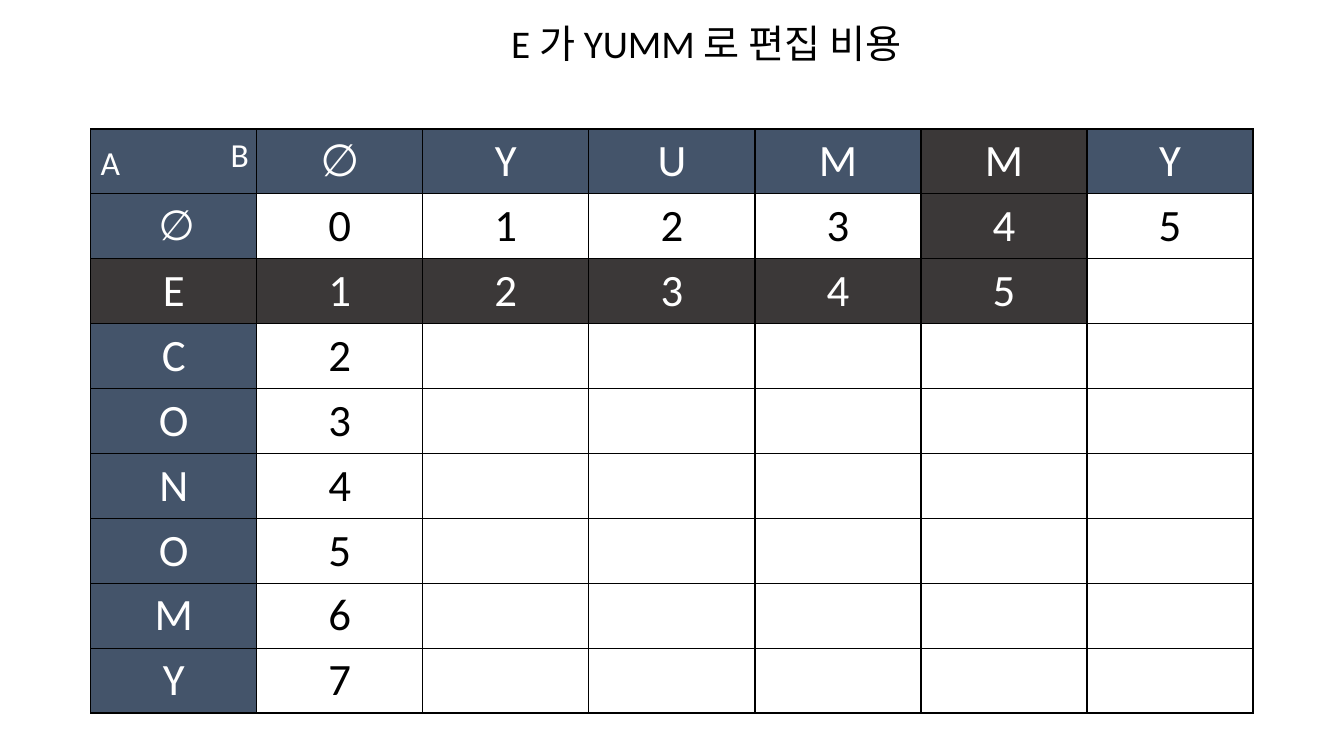
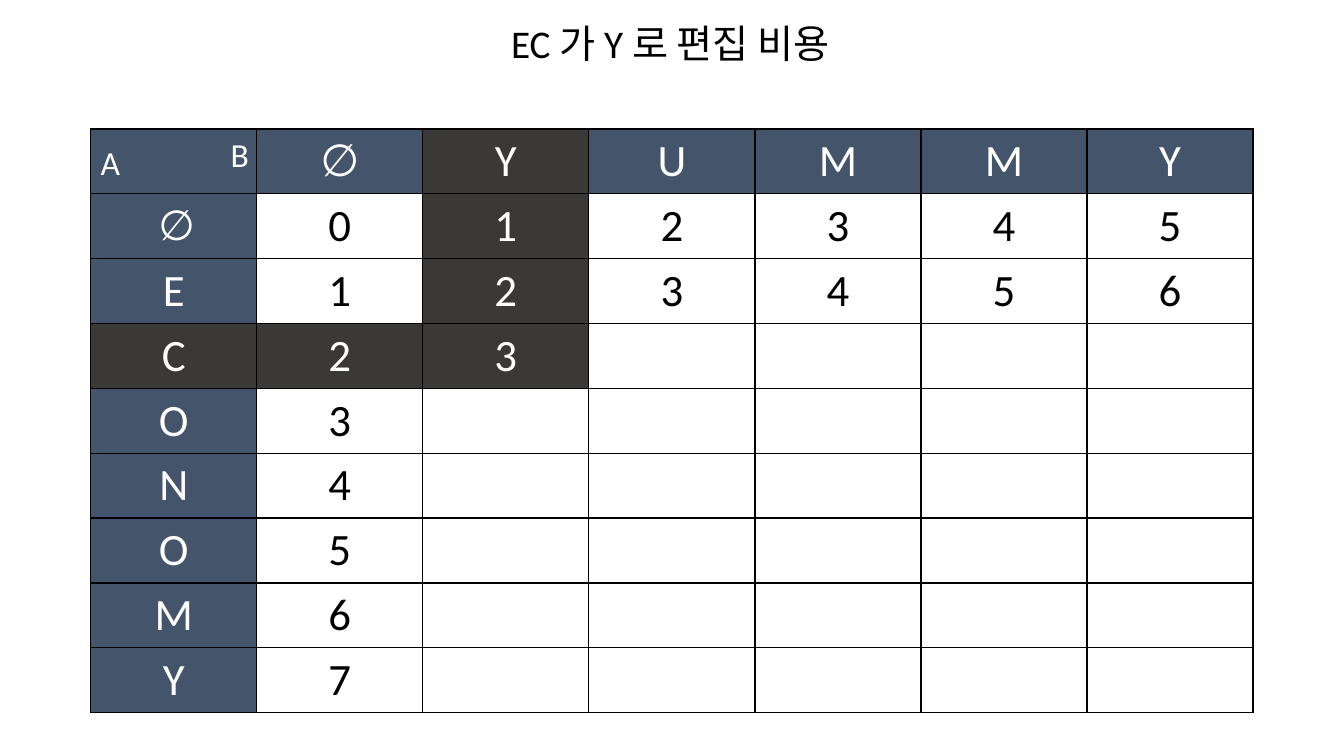
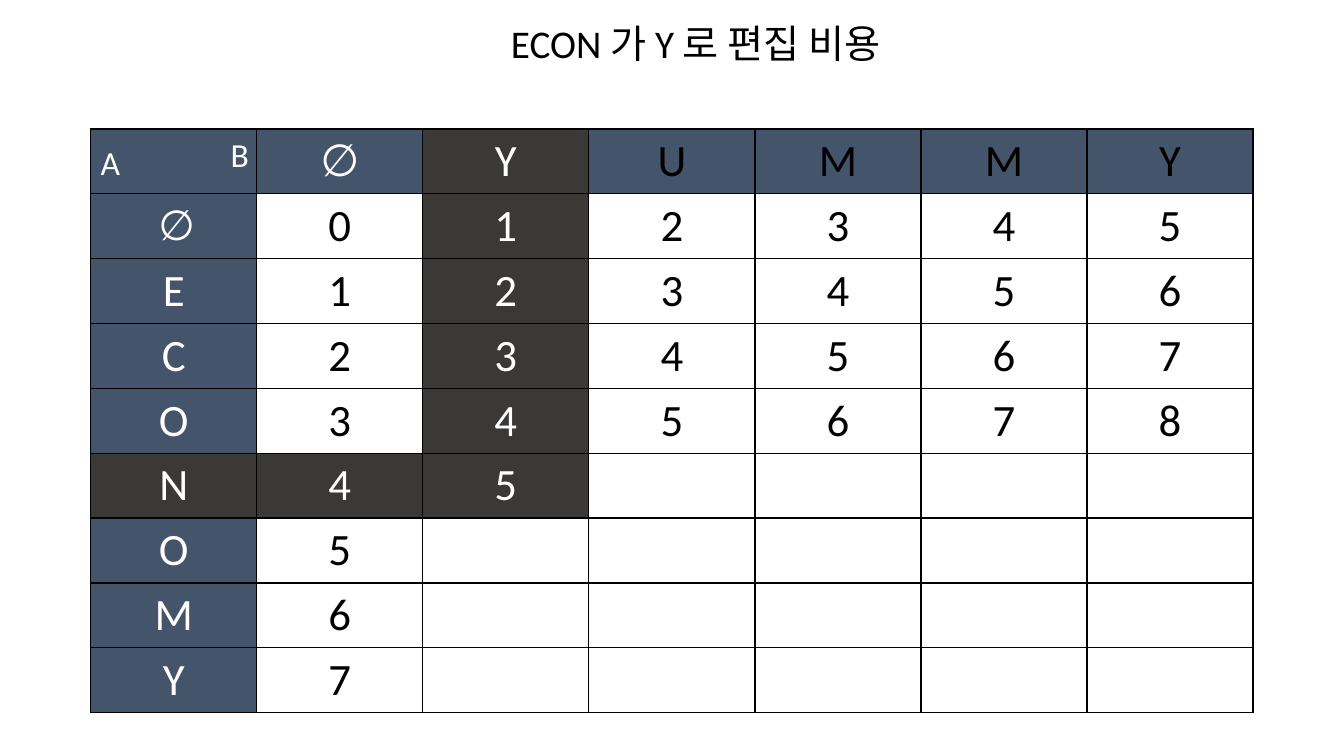
from dataclasses import dataclass

from lxml import etree
from pptx import Presentation
from pptx import util as u
from pptx.dml.color import RGBColor
from pptx.enum import text
from pptx.oxml.ns import qn


@dataclass(frozen=True)
class Theme:
    font: str = "Calibri"
    black: str = "000000"
    white: str = "FFFFFF"
    header: str = "44546A"
    active: str = "3B3838"
    cell_size: int = 32
    row_empty_size: int = 30
    pad_size: int = 18
    axis_size: int = 24
    title_size: int = 28
    border: int = 1


T = Theme()
EMPTY = "∅"
SOURCE = EMPTY + "ECONOMY"
TARGET = EMPTY + "YUMMY"
LEFT, TOP, WIDTH, HEIGHT = 0.9, 1.28, 11.53, 5.79

# title, title width, active row, active column, colour of the headers still to come
STEPS = [
    ("E 가 YUMM 로 편집 비용", 4.31, 2, 5, T.white),
    ("EC 가 Y 로 편집 비용", 3.59, 3, 2, T.white),
    ("ECON 가 Y 로 편집 비용", 4.1, 5, 2, T.black),
]


def add_run(p, content, size, color):
    r = p.add_run()
    r.text = content
    for name, value in {"name": T.font, "size": u.Pt(size)}.items():
        setattr(r.font, name, value)
    r.font.color.rgb = RGBColor.from_string(color)


def add_label(s, content, left, top, width, height, size, color, wrap=False):
    tf = s.shapes.add_textbox(*map(u.Inches, (left, top, width, height))).text_frame
    tf.word_wrap = wrap
    tf.auto_size = text.MSO_AUTO_SIZE.SHAPE_TO_FIT_TEXT
    add_run(tf.paragraphs[0], content, size, color)


def set_borders(cell):
    """Outline the cell; the lines must precede the fill in its properties."""
    tc_pr = cell._tc.get_or_add_tcPr()
    for i, side in enumerate(("a:lnL", "a:lnR", "a:lnT", "a:lnB")):
        ln = etree.Element(qn(side), w=str(u.Pt(T.border)))
        fill = etree.SubElement(ln, qn("a:solidFill"))
        etree.SubElement(fill, qn("a:srgbClr"), val=T.black)
        tc_pr.insert(i, ln)


def cell_content(row, col, last_row, last_col):
    """Header letter or cost; costs are known up to the active cell in reading order."""
    if row == 0 or col == 0:
        return "" if row == col else TARGET[col - 1] if row == 0 else SOURCE[row - 1]
    known = row == 1 or col == 1 or (row, col) <= (last_row, last_col)
    return str(row + col - 2) if known else ""


def fill_cell(cell, content, fill, color, row_empty):
    if fill:
        cell.fill.solid()
        cell.fill.fore_color.rgb = RGBColor.from_string(fill)
    else:
        cell.fill.background()
    set_borders(cell)
    cell.vertical_anchor = text.MSO_ANCHOR.MIDDLE
    p = cell.text_frame.paragraphs[0]
    p.alignment = text.PP_ALIGN.CENTER
    if row_empty:
        add_run(p, " ", T.pad_size, color)
    if content:
        add_run(p, content, T.row_empty_size if row_empty else T.cell_size, color)


def add_cost_table(s, last_row, last_col, pending_color):
    n_rows, n_cols = len(SOURCE) + 1, len(TARGET) + 1
    box = map(u.Inches, (LEFT, TOP, WIDTH, HEIGHT))
    table = s.shapes.add_table(n_rows, n_cols, *box).table
    table.first_row = table.horz_banding = False
    for column in table.columns:
        column.width = u.Inches(WIDTH / n_cols)
    for table_row in table.rows:
        table_row.height = u.Inches(HEIGHT / n_rows)

    for row in range(n_rows):
        for col in range(n_cols):
            is_header = row == 0 or col == 0
            is_active = (row == last_row and col <= last_col
                         or col == last_col and row <= last_row)
            fill = T.active if is_active else T.header if is_header else None
            color = T.white if fill else T.black
            if row == 0 and col > last_col:
                color = pending_color
            fill_cell(table.cell(row, col), cell_content(row, col, last_row, last_col),
                      fill, color, (row, col) == (1, 0))


def add_step_slide(prs, title, title_width, last_row, last_col, pending_color):
    s = prs.slides.add_slide(prs.slide_layouts[6])
    add_cost_table(s, last_row, last_col, pending_color)
    add_label(s, "A", LEFT, 1.36, 0.4, 0.5, T.axis_size, T.white)
    add_label(s, "B", 2.19, TOP, 0.38, 0.5, T.axis_size, T.white)
    add_label(s, title, 4.97, 0.14, title_width, 0.57, T.title_size, T.black, wrap=True)


def main():
    prs = Presentation()
    prs.slide_width, prs.slide_height = u.Inches(13.33), u.Inches(7.5)
    for step in STEPS:
        add_step_slide(prs, *step)
    prs.save("out.pptx")


if __name__ == "__main__":
    main()
